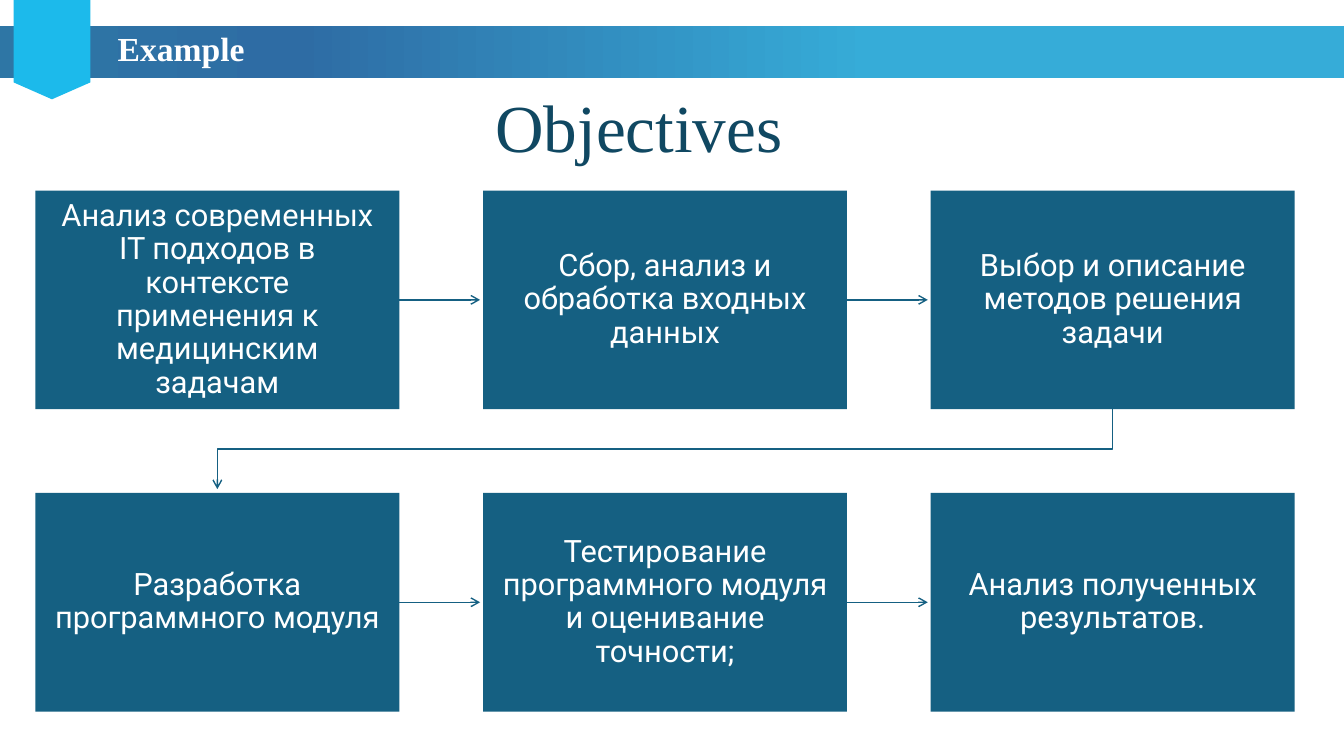
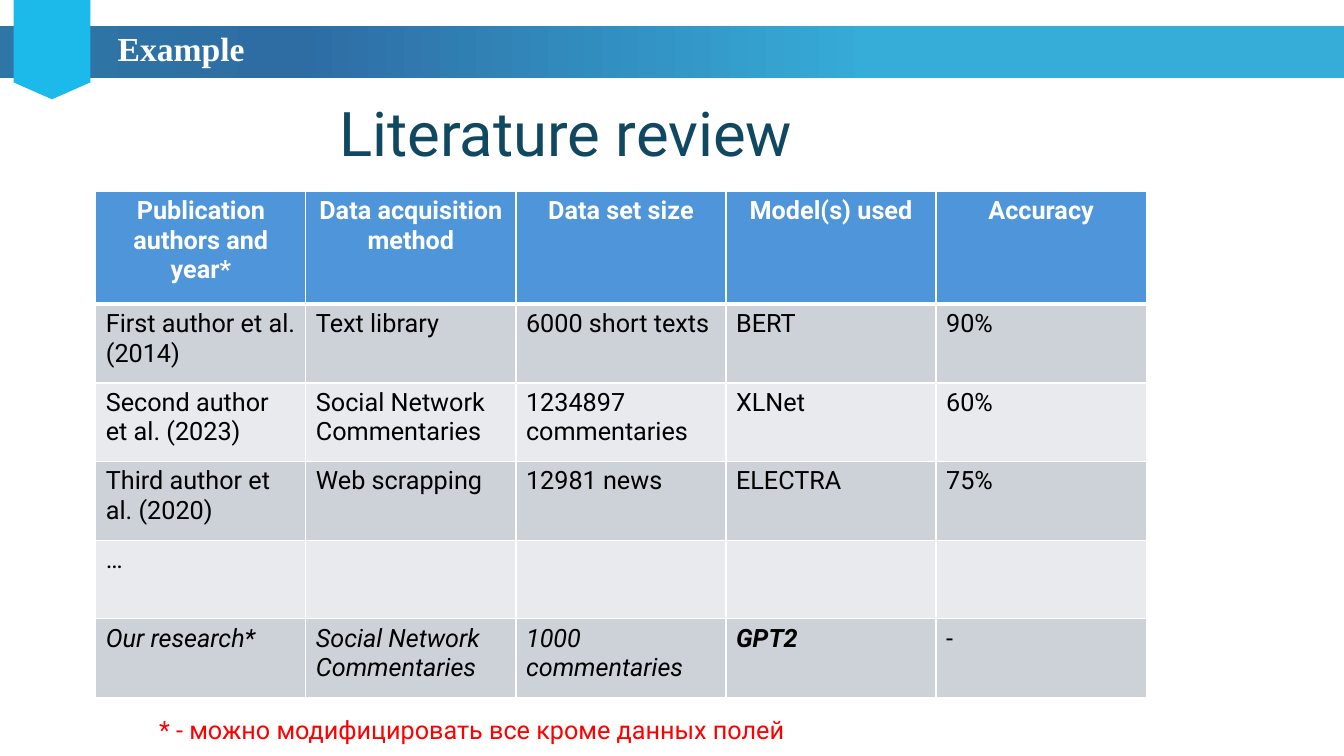
import copy

from lxml import etree
from pptx import Presentation
from pptx import util as u
from pptx.dml.color import RGBColor
from pptx.enum import shapes, text
from pptx.oxml import ns

COLORS = {
    "title": "104862", "box": "156082", "tag": "1CBAEB", "white": "FFFFFF",
    "black": "000000", "note": "FF0000", "header": "4E95D9",
    "odd": "CCD2D8", "even": "E8EAED",
    "band_left": "2E76A5", "band_dark": "2E6CA4", "band_right": "36ACD8",
}
BAND_STOPS = [(0, "band_left"), (0.22, "band_dark"), (0.65, "band_right")]
SANS, SERIF = "Roboto", "Times New Roman"
CENTER, MIDDLE = text.PP_ALIGN.CENTER, text.MSO_ANCHOR.MIDDLE


def rgb(name):
    return RGBColor.from_string(COLORS[name])


def write(tf, words, size=18, font=SANS, color="black", bold=False, italic=False,
          align=text.PP_ALIGN.LEFT, spacing=None):
    tf.word_wrap = True
    p = tf.paragraphs[0]
    p.alignment = align
    p.line_spacing = spacing
    p.font.size = u.Pt(size)
    if words:
        r = p.add_run()
        r.text = words
        r.font.size, r.font.name = u.Pt(size), font
        r.font.bold, r.font.italic = bold, italic
        r.font.color.rgb = rgb(color)


class Deck:
    def __init__(self):
        self.prs = Presentation()
        self.prs.slide_width, self.prs.slide_height = u.Inches(13.33), u.Inches(7.5)
        self.s = None

    def x(self, share):
        return u.Emu(round(self.prs.slide_width * share / 100))

    def y(self, share):
        return u.Emu(round(self.prs.slide_height * share / 100))

    def area(self, x, y, w, h):
        return self.x(x), self.y(y), self.x(w), self.y(h)

    def slide(self):
        self.s = self.prs.slides.add_slide(self.prs.slide_layouts[6])
        self.band()

    def shape(self, kind, area, fill=None):
        sp = self.s.shapes.add_shape(kind, *self.area(*area))
        sp.shadow.inherit = False
        sp.line.fill.background()
        if fill:
            sp.fill.solid()
            sp.fill.fore_color.rgb = rgb(fill)
        return sp

    def label(self, words, area, anchor=text.MSO_ANCHOR.TOP, **fmt):
        tf = self.s.shapes.add_textbox(*self.area(*area)).text_frame
        tf.vertical_anchor = anchor
        write(tf, words, **fmt)

    def band(self):
        sp = self.shape(shapes.MSO_SHAPE.RECTANGLE, (0, 3.47, 100, 6.8))
        sp.fill.gradient()
        sp.fill.gradient_angle = 0
        stops = sp._element.spPr.find(".//" + ns.qn("a:gsLst"))
        stops.append(copy.deepcopy(stops[0]))
        for stop, (position, color) in zip(sp.fill.gradient_stops, BAND_STOPS):
            stop.position = position
            stop.color.rgb = rgb(color)
        self.label("Example", (8.02, 3.07, 86.46, 6.67), size=24, font=SERIF,
                   color="white", bold=True)
        tag = self.shape(shapes.MSO_SHAPE.PENTAGON, (0.15, 1.47, 7.43, 10.13), "tag")
        tag.adjustments[0] = 0.22
        tag.rotation = 90

    def title(self, words, x, y, w, size, font):
        self.label(words, (x, y, w, 11.07), MIDDLE, size=size, font=font,
                   color="title", align=CENTER, spacing=0.9)

    def step(self, words, col, row):
        sp = self.shape(shapes.MSO_SHAPE.RECTANGLE,
                        (2.63 + 33.31 * col, 25.2 + 40 * row, 27.08, 28.93), "box")
        tf = sp.text_frame
        tf.vertical_anchor = MIDDLE
        tf.margin_left = tf.margin_right = u.Inches(0.18)
        tf.margin_top = tf.margin_bottom = u.Inches(0.19)
        write(tf, words, size=22, color="white", align=CENTER, spacing=0.9)
        return sp

    def arrow(self, kind, x1, y1, x2, y2):
        c = self.s.shapes.add_connector(kind, x1, y1, x2, y2)
        c.line.width = u.Pt(1)
        c.line.color.rgb = rgb("box")
        sp_pr = c._element.spPr
        etree.SubElement(sp_pr.find(ns.qn("a:ln")), ns.qn("a:tailEnd"), type="arrow")
        etree.SubElement(sp_pr, ns.qn("a:effectLst"))
        return c

    def arrow_right(self, a, b):
        mid = a.top + a.height // 2
        c = self.arrow(shapes.MSO_CONNECTOR.STRAIGHT, a.left + a.width, mid,
                       b.left - self.x(0.22), mid)
        c.begin_connect(a, 3)

    def arrow_next_row(self, a, b):
        x1, y1 = a.left + a.width // 2, a.top + a.height
        x2, y2 = b.left + b.width // 2, b.top - self.y(0.5)
        cx, cy = (x1 + x2) // 2, (y1 + y2) // 2
        half_run, half_drop = (x1 - x2) // 2, (y2 - y1) // 2
        c = self.arrow(shapes.MSO_CONNECTOR.ELBOW, cx - half_drop, cy - half_run,
                       cx + half_drop, cy + half_run)
        c._element.spPr.find(ns.qn("a:xfrm")).set("rot", str(90 * 60000))

    def borders(self, cell, bottom):
        tc_pr = cell._tc.get_or_add_tcPr()
        for i, (side, width) in enumerate(zip("LRTB", (1, 1, 1, bottom))):
            ln = etree.Element(ns.qn("a:ln" + side), w=str(int(u.Pt(width))))
            fill = etree.SubElement(ln, ns.qn("a:solidFill"))
            etree.SubElement(fill, ns.qn("a:srgbClr"), val=COLORS["white"])
            tc_pr.insert(i, ln)

    def table(self, rows, area, heights, formats):
        tbl = self.s.shapes.add_table(len(rows), len(rows[0]), *self.area(*area)).table
        tbl.horz_banding = False
        for i, row in enumerate(rows):
            tbl.rows[i].height = self.y(heights[min(i, 1)])
            fill = "header" if i == 0 else "odd" if i % 2 else "even"
            for j, words in enumerate(row):
                cell = tbl.cell(i, j)
                cell.fill.solid()
                cell.fill.fore_color.rgb = rgb(fill)
                self.borders(cell, 1 if i else 3)
                header = dict(color="white", bold=True, align=CENTER) if i == 0 else {}
                write(cell.text_frame, words, **header, **formats.get((i, j), {}))


STEPS = [
    "Анализ современных IT подходов в контексте применения к медицинским задачам",
    "Сбор, анализ и обработка входных данных",
    "Выбор и описание методов решения задачи",
    "Разработка программного модуля",
    "Тестирование программного модуля и оценивание точности;",
    "Анализ полученных результатов.",
]
REVIEW = [
    ["Publication authors and year*", "Data acquisition method", "Data set size",
     "Model(s) used", "Accuracy"],
    ["First author et al. (2014)", "Text library", "6000 short texts", "BERT", "90%"],
    ["Second author et al. (2023)", "Social Network Commentaries",
     "1234897 commentaries", "XLNet", "60%"],
    ["Third author et al. (2020)", "Web scrapping", "12981 news", "ELECTRA", "75%"],
    ["…", "", "", "", ""],
    ["Our research*", "Social Network Commentaries", "1000 commentaries", "GPT2", "-"],
]


def objectives(deck):
    deck.slide()
    deck.title("Objectives", 6.3, 11.73, 82.5, 48, SERIF)
    steps = [deck.step(words, i % 3, i // 3) for i, words in enumerate(STEPS)]
    for i, (a, b) in enumerate(zip(steps, steps[1:])):
        if i % 3 == 2:
            deck.arrow_next_row(a, b)
        else:
            deck.arrow_right(a, b)


def literature(deck):
    deck.slide()
    deck.title("Literature review", 0, 12.53, 84.24, 44, SANS)
    formats = {(5, j): dict(italic=True, bold=j == 3) for j in range(4)}
    deck.table(REVIEW, (7.13, 25.33, 78.15, 66.93), (14.93, 10.4), formats)
    deck.label("* - можно модифицировать все кроме данных полей",
               (11.1, 93.87, 70.6, 5.33), color="note")


def main():
    deck = Deck()
    objectives(deck)
    literature(deck)
    deck.prs.save("out.pptx")


if __name__ == "__main__":
    main()
